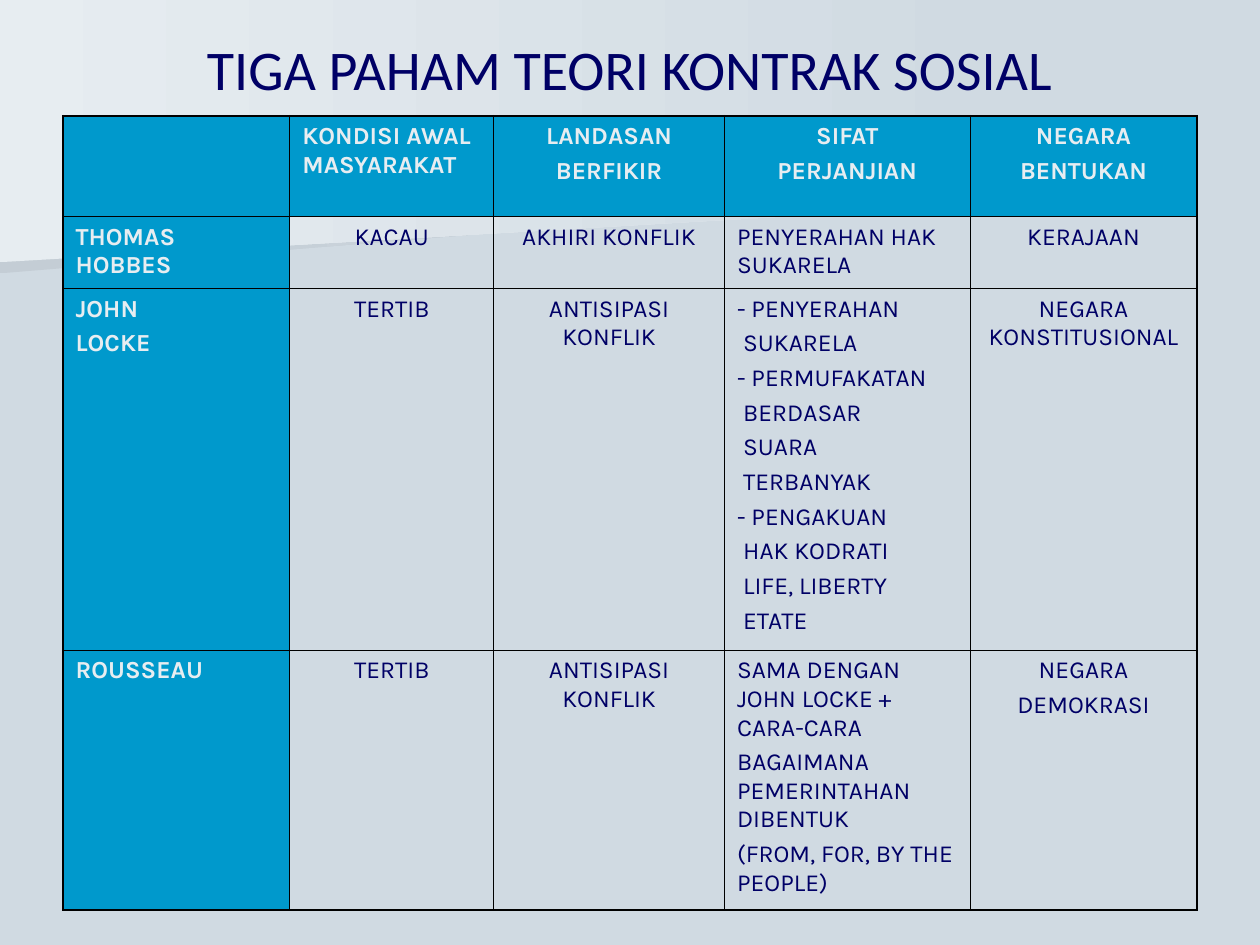
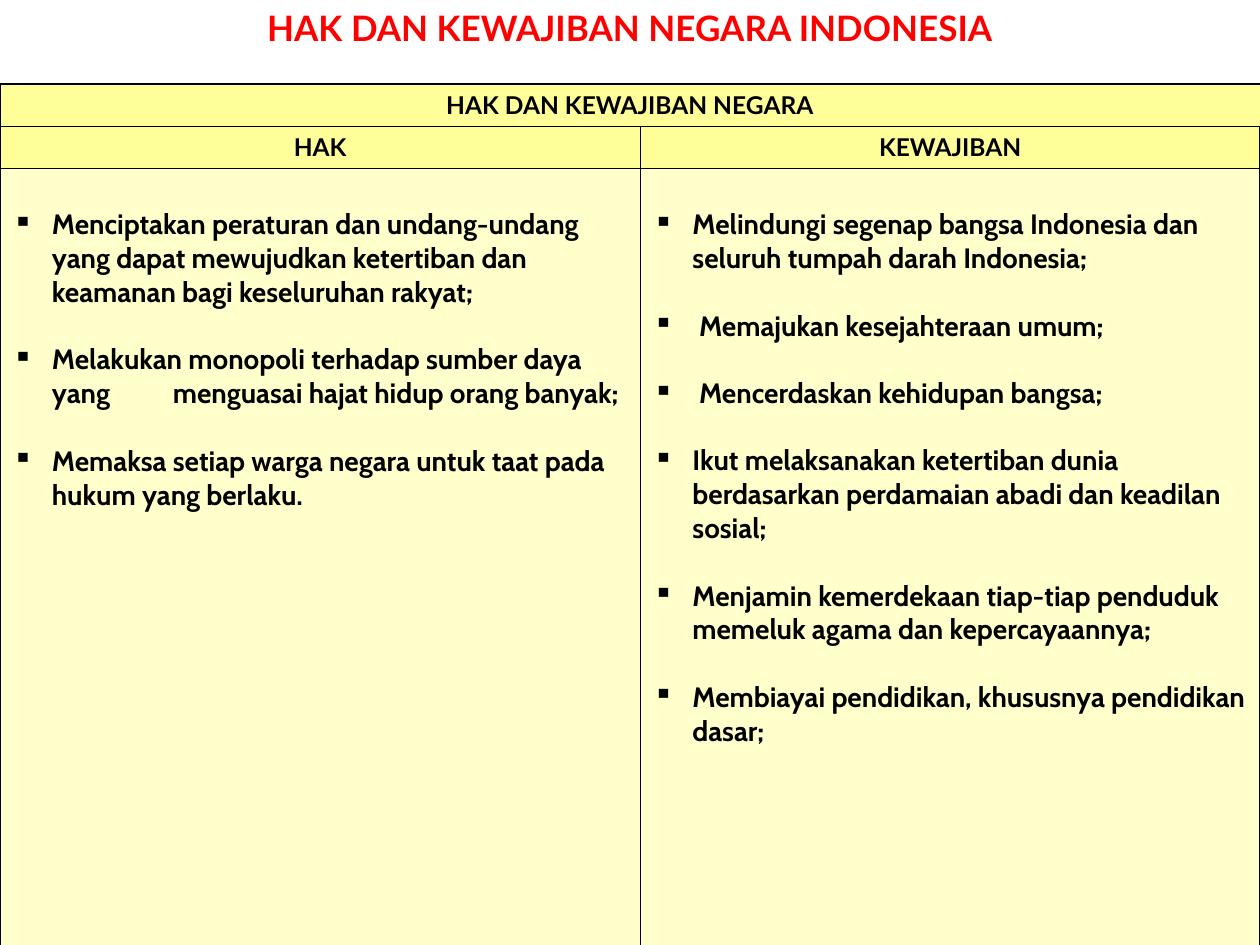
from dataclasses import dataclass

from lxml import etree
from pptx import Presentation
from pptx.dml.color import RGBColor
from pptx.enum.text import MSO_ANCHOR, PP_ALIGN
from pptx.oxml.ns import qn
from pptx.slide import Slide
from pptx.table import Table, _Cell
from pptx.text.text import TextFrame
from pptx.util import Pt

LEFT, CENTER = PP_ALIGN.LEFT, PP_ALIGN.CENTER
TOP, MIDDLE = MSO_ANCHOR.TOP, MSO_ANCHOR.MIDDLE


@dataclass(frozen=True)
class Theme:
    background: str = "D0DAE2"
    shade: str = "C4CDD5"
    light: str = "E7EDF1"
    navy: str = "000066"
    blue: str = "0099CC"
    red: str = "FF0000"
    black: str = "000000"
    white: str = "FFFFFF"
    yellow: str = "FFFF99"
    cream: str = "FFFFCC"
    outer_line: float = 1.08
    inner_line: float = 0.45
    side_margin: float = 7.2
    top_margin: float = 3.6


THEME = Theme()


@dataclass(frozen=True)
class TextStyle:
    font: str
    size: float
    color: str
    bold: bool = False


THEORY_TITLE = TextStyle("Calibri", 32, THEME.navy)
THEORY_HEADING = TextStyle("Karla", 14, THEME.light, True)
THEORY_BODY = TextStyle("Karla", 14, THEME.navy)
DUTY_TITLE = TextStyle("Lato", 20, THEME.red, True)
DUTY_HEADING = TextStyle("Lato", 14, THEME.black, True)
DUTY_BODY = TextStyle("Cabin", 16, THEME.black, True)


@dataclass(frozen=True)
class Line:
    text: str
    indent: float = 0
    bullet: str = ""
    tab_stop: float = 0


@dataclass(frozen=True)
class CellLook:
    style: TextStyle
    fill: str | None
    align: PP_ALIGN = CENTER
    gap: float = 3.5
    top_margin: float = THEME.top_margin


@dataclass(frozen=True)
class Band:
    points: tuple[tuple[float, float], ...]
    start_color: str


@dataclass(frozen=True)
class Title:
    text: str
    box: tuple[float, float, float, float]
    style: TextStyle
    anchor: MSO_ANCHOR
    fill: str | None = None


@dataclass(frozen=True)
class Grid:
    left: float
    top: float
    columns: tuple[float, ...]
    rows: tuple[float, ...]


BANDS = (
    Band(((560.9, 110.2), (0, 156.2), (0, 72.7), (560.9, 72.7)), THEME.shade),
    Band(((570.2, 116.6), (0, 149.8), (0, 0), (570.2, 0)), THEME.light),
)

THEORY_GRID = Grid(36, 66.2, (129.6, 116.6, 131.8, 140.4, 129.6), (57.6, 41, 206.6, 148.6))
DUTY_GRID = Grid(0, 48, (366, 354), (24, 24, 450))


def lines(*texts: str) -> tuple[Line, ...]:
    return tuple(Line(text) for text in texts)


def dash_item(first: str, *rest: str) -> tuple[Line, ...]:
    """A dashed line followed by slightly indented lines."""
    return (Line(f"- {first}"), *(Line(text, indent=3.5) for text in rest))


def duty(text: str, extra_indent: float = 0, tab_stop: float = 0) -> Line:
    return Line(text, 22.5 + extra_indent, "▪", tab_stop)


THEORIES = (
    (
        (),
        lines("KONDISI AWAL MASYARAKAT"),
        lines("LANDASAN", "BERFIKIR"),
        lines("SIFAT", "PERJANJIAN"),
        lines("NEGARA", "BENTUKAN"),
    ),
    (
        lines("THOMAS HOBBES"),
        lines("KACAU"),
        lines("AKHIRI KONFLIK"),
        lines("PENYERAHAN HAK SUKARELA"),
        lines("KERAJAAN"),
    ),
    (
        lines("JOHN", "LOCKE"),
        lines("TERTIB"),
        lines("ANTISIPASI KONFLIK"),
        dash_item("PENYERAHAN", "SUKARELA")
        + dash_item("PERMUFAKATAN", "BERDASAR", "SUARA", "TERBANYAK")
        + dash_item("PENGAKUAN", "HAK KODRATI", "LIFE, LIBERTY", "ETATE"),
        lines("NEGARA KONSTITUSIONAL"),
    ),
    (
        lines("ROUSSEAU"),
        lines("TERTIB"),
        lines("ANTISIPASI KONFLIK"),
        lines(
            "SAMA DENGAN JOHN LOCKE + CARA-CARA",
            "BAGAIMANA PEMERINTAHAN DIBENTUK",
            "(FROM, FOR, BY THE PEOPLE)",
        ),
        lines("NEGARA", "DEMOKRASI"),
    ),
)

STATE_RIGHTS = (
    duty(
        "Menciptakan peraturan dan undang-undang yang dapat mewujudkan "
        "ketertiban dan keamanan bagi keseluruhan rakyat;"
    ),
    duty(
        "Melakukan monopoli terhadap sumber daya yang\tmenguasai hajat hidup orang banyak;",
        tab_stop=91.6,
    ),
    duty("Memaksa setiap warga negara untuk taat pada hukum yang berlaku."),
)
STATE_DUTIES = (
    duty("Melindungi segenap bangsa Indonesia dan seluruh tumpah darah Indonesia;"),
    duty("Memajukan kesejahteraan umum;", extra_indent=3.8),
    duty("Mencerdaskan kehidupan bangsa;", extra_indent=3.8),
    duty("Ikut melaksanakan ketertiban dunia berdasarkan perdamaian abadi dan keadilan sosial;"),
    duty("Menjamin kemerdekaan tiap-tiap penduduk memeluk agama dan kepercayaannya;"),
    duty("Membiayai pendidikan, khususnya pendidikan dasar;"),
)


def rgb(color: str) -> RGBColor:
    return RGBColor.from_string(color)


def write_lines(
    frame: TextFrame, content: tuple[Line, ...], style: TextStyle, align: PP_ALIGN, gap: float = 0
) -> None:
    for index, line in enumerate(content):
        paragraph = frame.add_paragraph() if index else frame.paragraphs[0]
        properties = paragraph._p.get_or_add_pPr()
        if line.indent:
            properties.set("marL", str(Pt(line.indent)))
        if line.bullet:
            properties.set("indent", str(-Pt(line.indent)))
            etree.SubElement(properties, qn("a:buChar"), char=line.bullet)
        if line.tab_stop:
            tabs = etree.SubElement(properties, qn("a:tabLst"))
            etree.SubElement(tabs, qn("a:tab"), pos=str(Pt(line.tab_stop)), algn="l")
        paragraph.alignment = align
        if index:
            paragraph.space_before = Pt(gap)
        run = paragraph.add_run()
        run.text = line.text
        run.font.name = style.font
        run.font.size = Pt(style.size)
        run.font.bold = style.bold
        run.font.color.rgb = rgb(style.color)


def add_band(slide: Slide, band: Band) -> None:
    points = [(Pt(x), Pt(y)) for x, y in band.points]
    builder = slide.shapes.build_freeform(*points[0])
    builder.add_line_segments(points[1:])
    shape = builder.convert_to_shape()
    shape.shadow.inherit = False
    shape.line.fill.background()
    shape.fill.gradient()
    shape.fill.gradient_angle = 0
    for stop, color in zip(shape.fill.gradient_stops, (band.start_color, THEME.background)):
        stop.color.rgb = rgb(color)


def add_title(slide: Slide, title: Title) -> None:
    box = slide.shapes.add_textbox(*(Pt(length) for length in title.box))
    if title.fill:
        box.fill.solid()
        box.fill.fore_color.rgb = rgb(title.fill)
    box.text_frame.word_wrap = True
    box.text_frame.vertical_anchor = title.anchor
    write_lines(box.text_frame, lines(title.text), title.style, CENTER)


def add_grid(slide: Slide, grid: Grid) -> Table:
    """Add an unbanded table with a heavier outer frame."""
    frame = slide.shapes.add_table(
        len(grid.rows), len(grid.columns), Pt(grid.left), Pt(grid.top),
        Pt(sum(grid.columns)), Pt(sum(grid.rows)),
    )
    table = frame.table
    table.first_row = table.horz_banding = False
    for column, width in zip(table.columns, grid.columns):
        column.width = Pt(width)
    for row, height in zip(table.rows, grid.rows):
        row.height = Pt(height)
    last_row, last_column = len(grid.rows) - 1, len(grid.columns) - 1
    for row in range(last_row + 1):
        for column in range(last_column + 1):
            outer_sides = {
                "L": column == 0, "R": column == last_column,
                "T": row == 0, "B": row == last_row,
            }
            set_borders(table.cell(row, column), outer_sides)
    return table


def set_borders(cell: _Cell, outer_sides: dict[str, bool]) -> None:
    properties = cell._tc.get_or_add_tcPr()
    for side, is_outer in outer_sides.items():
        width = THEME.outer_line if is_outer else THEME.inner_line
        line = etree.SubElement(properties, qn(f"a:ln{side}"), w=str(Pt(width)))
        fill = etree.SubElement(line, qn("a:solidFill"))
        etree.SubElement(fill, qn("a:srgbClr"), val=THEME.black)


def fill_cell(cell: _Cell, content: tuple[Line, ...], look: CellLook) -> None:
    if look.fill:
        cell.fill.solid()
        cell.fill.fore_color.rgb = rgb(look.fill)
    else:
        cell.fill.background()
    cell.margin_left = cell.margin_right = Pt(THEME.side_margin)
    cell.margin_top, cell.margin_bottom = Pt(look.top_margin), Pt(THEME.top_margin)
    write_lines(cell.text_frame, content, look.style, look.align, look.gap)


def theory_look(row: int, column: int) -> CellLook:
    if row == 0 or column == 0:
        return CellLook(THEORY_HEADING, THEME.blue, LEFT if column < 2 else CENTER)
    return CellLook(THEORY_BODY, None, LEFT if column == 3 else CENTER)


def build_theories(slide: Slide) -> None:
    for band in BANDS:
        add_band(slide, band)
    add_title(slide, Title("TIGA PAHAM TEORI KONTRAK SOSIAL", (36, 18, 648, 41.8), THEORY_TITLE, MIDDLE))
    table = add_grid(slide, THEORY_GRID)
    for row, contents in enumerate(THEORIES):
        for column, content in enumerate(contents):
            fill_cell(table.cell(row, column), content, theory_look(row, column))


def build_rights_and_duties(slide: Slide) -> None:
    add_title(
        slide,
        Title("HAK DAN KEWAJIBAN NEGARA INDONESIA", (0, 0, 720, 54), DUTY_TITLE, TOP, THEME.white),
    )
    table = add_grid(slide, DUTY_GRID)
    table.cell(0, 0).merge(table.cell(0, 1))
    heading = CellLook(DUTY_HEADING, THEME.yellow)
    body = CellLook(DUTY_BODY, THEME.cream, LEFT, gap=19.2, top_margin=22.8)
    fill_cell(table.cell(0, 0), lines("HAK DAN KEWAJIBAN NEGARA"), heading)
    for column, (name, items) in enumerate((("HAK", STATE_RIGHTS), ("KEWAJIBAN", STATE_DUTIES))):
        fill_cell(table.cell(1, column), lines(name), heading)
        fill_cell(table.cell(2, column), items, body)


def main() -> None:
    presentation = Presentation()
    presentation.slide_width, presentation.slide_height = Pt(720), Pt(540)
    background = presentation.slide_master.background.fill
    background.solid()
    background.fore_color.rgb = rgb(THEME.background)
    for build in (build_theories, build_rights_and_duties):
        build(presentation.slides.add_slide(presentation.slide_layouts[6]))
    presentation.save("out.pptx")


if __name__ == "__main__":
    main()
